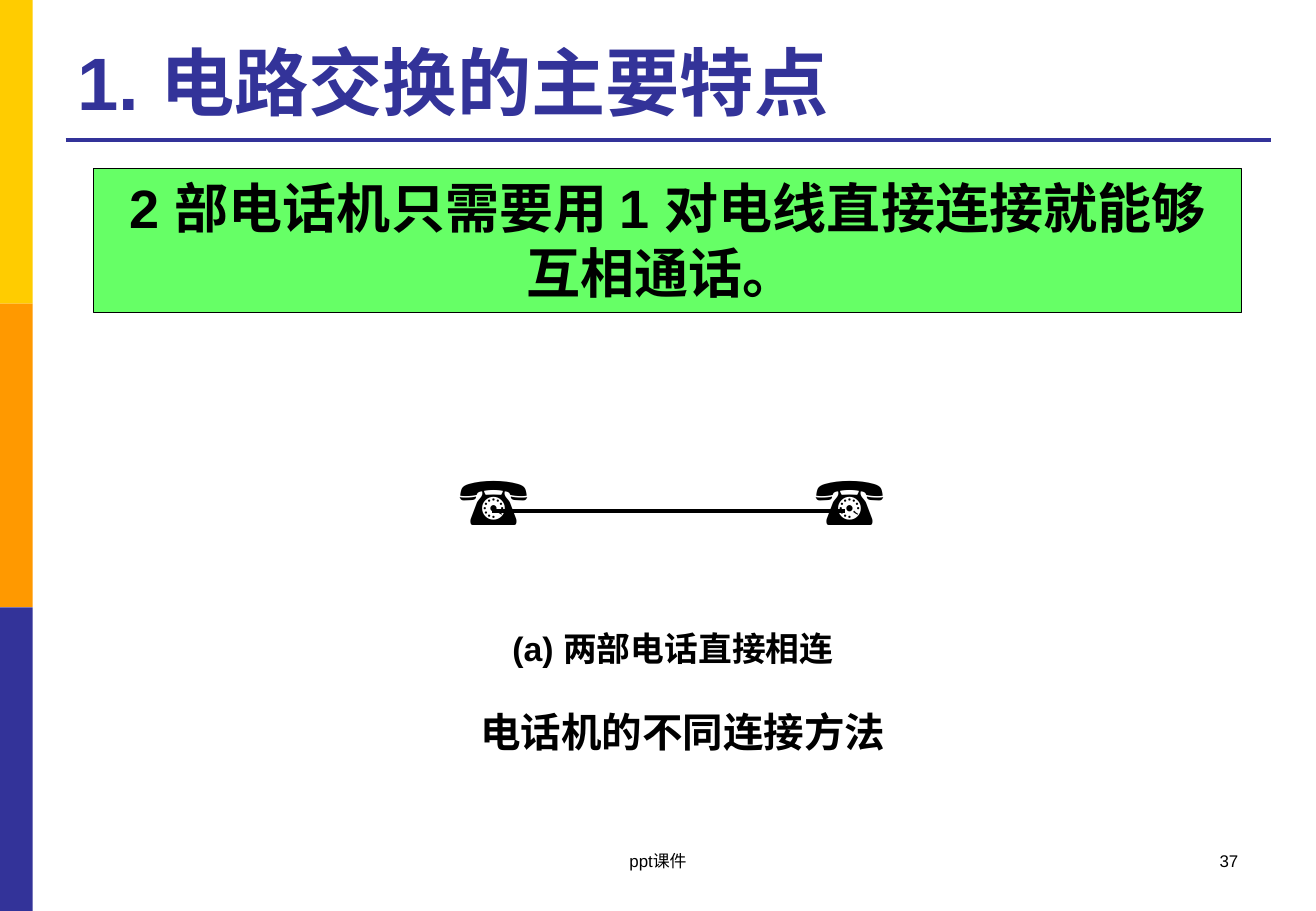
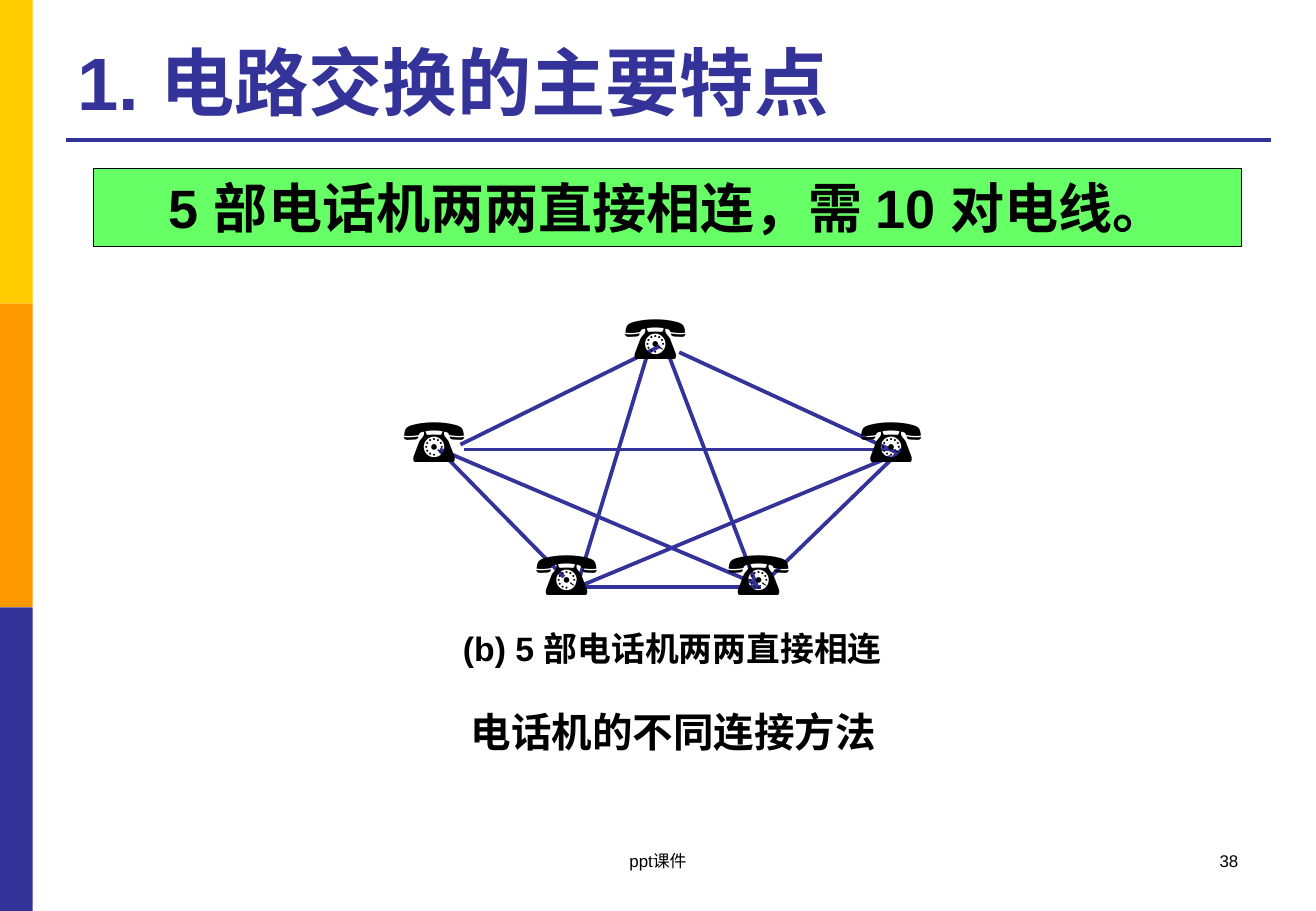
from dataclasses import dataclass

import pptx
import pptx.dml.color
import pptx.enum.shapes
import pptx.enum.text
import pptx.oxml.ns
import pptx.util
from lxml import etree
from pptx.util import Inches

COLORS = {
    "yellow": "FFCC00",
    "orange": "FF9900",
    "indigo": "333399",
    "green": "66FF66",
    "black": "000000",
}
ALIGN = pptx.enum.text.PP_ALIGN
ANCHOR = pptx.enum.text.MSO_ANCHOR
AUTO_SIZE = pptx.enum.text.MSO_AUTO_SIZE

Point = tuple[float, float]
Box = tuple[float, float, float, float]

TITLE = "1. 电路交换的主要特点"
FIGURE_TITLE = "电话机的不同连接方法"
FOOTER = "ppt课件"


@dataclass(frozen=True)
class TextStyle:
    size: int
    bold: bool = False
    color: str = "black"
    font: str = "Arial"
    align: ALIGN = ALIGN.CENTER
    anchor: ANCHOR = ANCHOR.TOP
    wrap: bool = True
    grow: bool = True


@dataclass(frozen=True)
class Wire:
    start: Point
    end: Point


@dataclass(frozen=True)
class Topic:
    number: int
    statement: str
    statement_height: float
    caption: str
    caption_box: Box
    figure_title_width: float
    phones: list[Point]
    phone_size: Point
    phone_points: int
    wires: list[Wire]
    wire_color: str
    wires_in_front: bool


TITLE_STYLE = TextStyle(44, True, "indigo", align=ALIGN.LEFT, anchor=ANCHOR.BOTTOM, grow=False)
STATEMENT_STYLE = TextStyle(32, True)
FIGURE_TITLE_STYLE = TextStyle(24, True)
CAPTION_STYLE = TextStyle(20, True)
FOOTER_STYLE = TextStyle(10, grow=False)
NUMBER_STYLE = TextStyle(10, align=ALIGN.RIGHT, grow=False)

# Phones of the five-way mesh: one on top, two pairs below
SIDE_Y, BASE_Y = 3.26, 4.35

TOPICS = [
    Topic(
        number=37,
        statement="2 部电话机只需要用 1 对电线直接连接就能够互相通话。 ",
        statement_height=1.18,
        caption=" (a) 两部电话直接相连",
        caption_box=(3.76, 5.12, 3.48, 0.44),
        figure_title_width=6.54,
        phones=[(6.61, 3.72), (3.68, 3.72)],
        phone_size=(0.95, 0.77),
        phone_points=40,
        wires=[Wire((4.05, 4.21), (6.95, 4.21))],
        wire_color="black",
        wires_in_front=True,
    ),
    Topic(
        number=38,
        statement="5 部电话机两两直接相连，需 10 对电线。",
        statement_height=0.64,
        caption=" (b) 5 部电话机两两直接相连",
        caption_box=(3.54, 5.12, 3.91, 0.44),
        figure_title_width=6.38,
        phones=[(5.04, 2.41), (3.22, SIDE_Y), (6.98, SIDE_Y), (5.89, BASE_Y), (4.31, BASE_Y)],
        phone_size=(0.87, 0.71),
        phone_points=36,
        wires=[
            Wire((3.79, 3.66), (5.43, 2.85)),
            Wire((5.59, 2.9), (7.41, 3.74)),
            Wire((3.62, 3.71), (4.64, 4.75)),
            Wire((4.77, 4.83), (6.26, 4.83)),
            Wire((6.36, 4.73), (7.42, 3.7)),
            Wire((5.49, 2.89), (6.23, 4.83)),
            Wire((5.33, 2.91), (4.75, 4.82)),
            Wire((3.82, 3.7), (7.35, 3.7)),
            Wire((3.62, 3.7), (6.23, 4.81)),
            Wire((4.81, 4.81), (7.33, 3.76)),
        ],
        wire_color="indigo",
        wires_in_front=False,
    ),
]


def rgb(name: str) -> pptx.dml.color.RGBColor:
    return pptx.dml.color.RGBColor.from_string(COLORS[name])


def write(shape, text: str, style: TextStyle) -> None:
    frame = shape.text_frame
    frame.word_wrap = style.wrap
    frame.auto_size = AUTO_SIZE.SHAPE_TO_FIT_TEXT if style.grow else AUTO_SIZE.NONE
    frame.vertical_anchor = style.anchor
    paragraph = frame.paragraphs[0]
    paragraph.alignment = style.align
    run = paragraph.add_run()
    run.text = text
    run.font.name = style.font
    run.font.size = pptx.util.Pt(style.size)
    run.font.bold = style.bold
    run.font.color.rgb = rgb(style.color)


def add_text(slide, box: Box, text: str, style: TextStyle) -> None:
    write(slide.shapes.add_textbox(*map(Inches, box)), text, style)


def add_rectangle(slide, box: Box, fill: str, outline: str | None = None):
    rectangle = slide.shapes.add_shape(
        pptx.enum.shapes.MSO_SHAPE.RECTANGLE, *map(Inches, box)
    )
    rectangle.shadow.inherit = False
    rectangle.fill.solid()
    rectangle.fill.fore_color.rgb = rgb(fill)
    if outline:
        rectangle.line.color.rgb = rgb(outline)
        rectangle.line.width = pptx.util.Pt(0.75)
    else:
        rectangle.line.fill.background()
    return rectangle


def add_line(slide, wire: Wire, color: str) -> None:
    line = slide.shapes.add_connector(
        pptx.enum.shapes.MSO_CONNECTOR.STRAIGHT, *map(Inches, wire.start + wire.end)
    )
    line.line.color.rgb = rgb(color)
    line.line.width = pptx.util.Pt(2.25)
    etree.SubElement(line._element.spPr, pptx.oxml.ns.qn("a:effectLst"))


def add_frame(slide, number: int) -> None:
    # Side bands, title with rule, footer
    for row, color in enumerate(("yellow", "orange", "indigo")):
        add_rectangle(slide, (0, 2.5 * row, 0.27, 2.5), color)
    add_line(slide, Wire((0.54, 1.15), (10.46, 1.15)), "indigo")
    add_text(slide, (0.54, 0.21, 9.91, 0.87), TITLE, TITLE_STYLE)
    add_text(slide, (7.76, 6.95, 2.53, 0.5), str(number), NUMBER_STYLE)
    add_text(slide, (3.7, 6.95, 3.43, 0.5), FOOTER, FOOTER_STYLE)


def add_phones(slide, topic: Topic) -> None:
    style = TextStyle(
        topic.phone_points, font="Times New Roman", align=ALIGN.LEFT, wrap=False
    )
    for corner in topic.phones:
        add_text(slide, corner + topic.phone_size, "☎", style)


def add_wires(slide, topic: Topic) -> None:
    for wire in topic.wires:
        add_line(slide, wire, topic.wire_color)


def add_topic(deck, topic: Topic) -> None:
    slide = deck.slides.add_slide(deck.slide_layouts[6])
    add_frame(slide, topic.number)

    # Statement
    statement = add_rectangle(
        slide, (0.77, 1.39, 9.45, topic.statement_height), "green", "black"
    )
    write(statement, topic.statement, STATEMENT_STYLE)

    # Phone network
    layers = [add_wires, add_phones]
    for add_layer in reversed(layers) if topic.wires_in_front else layers:
        add_layer(slide, topic)

    # Captions
    add_text(slide, topic.caption_box, topic.caption, CAPTION_STYLE)
    add_text(
        slide, (2.35, 5.77, topic.figure_title_width, 0.5), FIGURE_TITLE, FIGURE_TITLE_STYLE
    )


def main() -> None:
    deck = pptx.Presentation()
    deck.slide_width, deck.slide_height = Inches(10.83), Inches(7.5)
    for topic in TOPICS:
        add_topic(deck, topic)
    deck.save("out.pptx")


if __name__ == "__main__":
    main()
